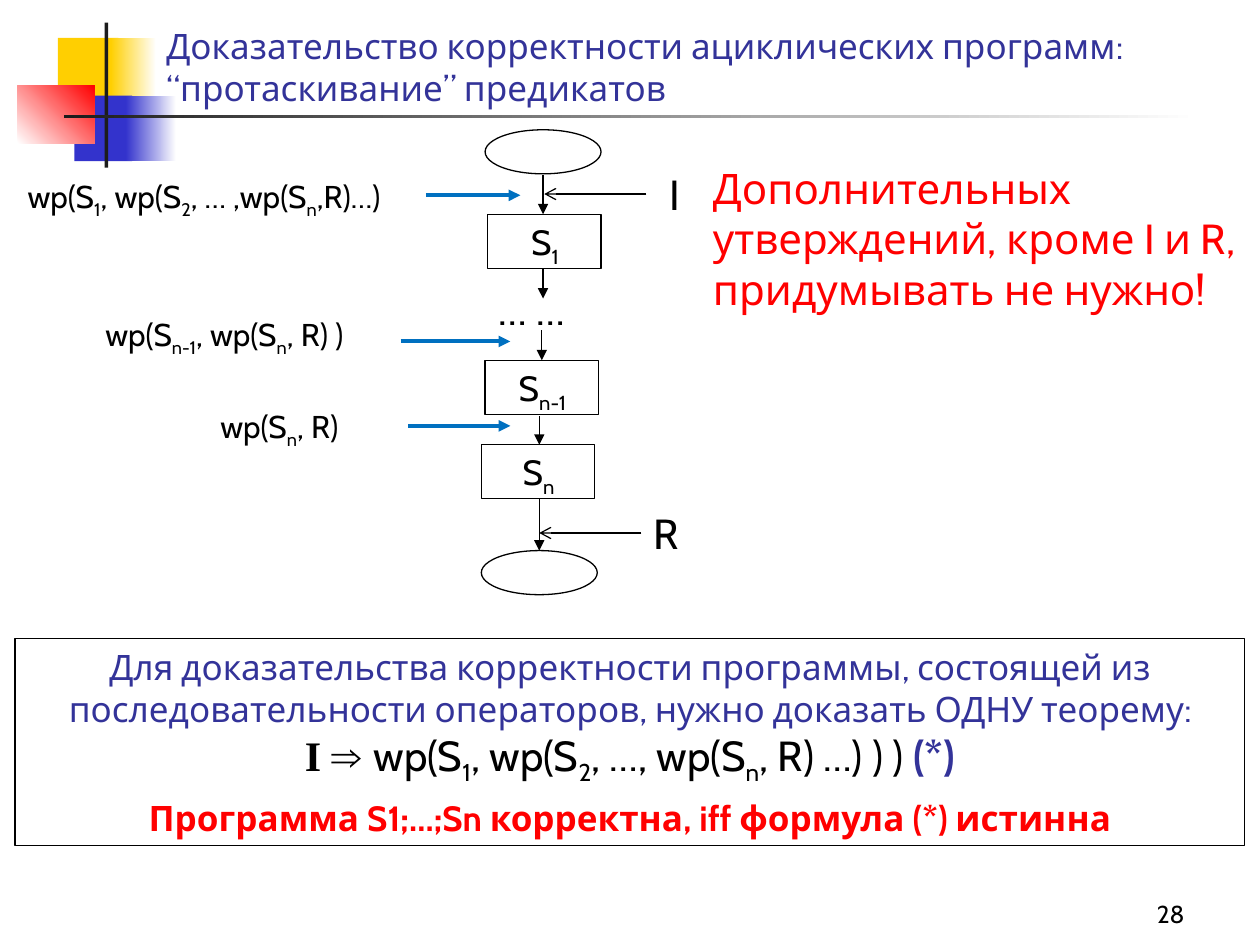
from lxml.etree import SubElement
from pptx import Presentation
from pptx.dml.color import RGBColor
from pptx.enum.shapes import MSO_CONNECTOR, MSO_SHAPE
from pptx.enum.text import MSO_ANCHOR, PP_ALIGN as Align
from pptx.oxml.ns import qn
from pptx.util import Inches, Pt

BLACK = RGBColor(0x00, 0x00, 0x00)
WHITE = RGBColor(0xFF, 0xFF, 0xFF)
INK = RGBColor(0x1C, 0x1C, 0x1C)
NAVY = RGBColor(0x33, 0x33, 0x99)
INDIGO = RGBColor(0x33, 0x33, 0xCC)
YELLOW = RGBColor(0xFF, 0xCF, 0x01)
RED = RGBColor(0xFF, 0x00, 0x00)
BLUE = RGBColor(0x00, 0x70, 0xC0)


class SlideBuilder:
    font = "Cabin"

    def __init__(self, slide):
        self.slide = slide

    def add_runs(self, paragraph, text, **style):
        """Add runs to a paragraph; parts between ~ marks are subscripts."""
        values = {"name": self.font, "size": Pt(18), "bold": False, **style}
        color = values.pop("color", BLACK)
        for index, part in enumerate(text.split("~")):
            if not part:
                continue
            run = paragraph.add_run()
            run.text = part
            for name, value in values.items():
                setattr(run.font, name, value)
            run.font.color.rgb = color
            if index % 2:
                run._r.get_or_add_rPr().set("baseline", "-25000")

    def title(self, text, box, **style):
        title = self.slide.shapes.title
        title.left, title.top, title.width, title.height = map(Inches, box)
        title.text_frame.word_wrap = True
        title.text_frame.vertical_anchor = MSO_ANCHOR.BOTTOM
        paragraph = title.text_frame.paragraphs[0]
        paragraph.alignment = Align.LEFT
        self.add_runs(paragraph, text, **style)

    def text(self, text, box, align=Align.CENTER, **style):
        label = self.slide.shapes.add_textbox(*map(Inches, box))
        label.text_frame.word_wrap = True
        paragraph = label.text_frame.paragraphs[0]
        paragraph.alignment = align
        self.add_runs(paragraph, text, **style)
        return label

    def band(self, box, *colors, angle=0):
        """A borderless rectangle: one colour is solid, two are a gradient."""
        band = self.slide.shapes.add_shape(MSO_SHAPE.RECTANGLE, *map(Inches, box))
        band.shadow.inherit = False
        band.line.fill.background()
        if len(colors) == 1:
            band.fill.solid()
            band.fill.fore_color.rgb = colors[0]
        else:
            band.fill.gradient()
            band.fill.gradient_angle = angle
            for stop, color in zip(band.fill.gradient_stops, colors):
                stop.color.rgb = color

    def outline(self, kind, box):
        node = self.slide.shapes.add_shape(kind, *map(Inches, box))
        node.shadow.inherit = False
        node.fill.background()
        node.line.color.rgb = BLACK
        node.line.width = Pt(0.75)

    def arrow(self, start, end, color=BLACK, width=0.75, head="triangle"):
        arrow = self.slide.shapes.add_connector(
            MSO_CONNECTOR.STRAIGHT, *map(Inches, (*start, *end)))
        arrow.line.color.rgb = color
        arrow.line.width = Pt(width)
        SubElement(arrow.get_or_add_ln(), qn("a:tailEnd"), type=head)
        SubElement(arrow._element.spPr, qn("a:effectLst"))


def main():
    deck = Presentation()
    deck.slide_width, deck.slide_height = Inches(10), Inches(7.5)
    builder = SlideBuilder(deck.slides.add_slide(deck.slide_layouts[5]))

    # Corner decoration
    builder.band((0.46, 0.3, 0.48, 0.52), YELLOW)
    builder.band((0.88, 0.3, 0.36, 0.52), YELLOW, WHITE)
    builder.band((0.59, 0.76, 0.46, 0.52), INDIGO)
    builder.band((1, 0.76, 0.4, 0.52), INDIGO, WHITE)
    builder.band((0.14, 0.68, 0.61, 0.46), WHITE, RED, angle=45)
    builder.band((0.83, 0.18, 0.03, 1.15), INK)
    builder.band((0.51, 0.91, 9, 0.03), INK, WHITE)

    # Title and slide number
    builder.title("Доказательство корректности ациклических программ: "
                  "“протаскивание” предикатов",
                  (1.22, -0.11, 8.51, 1.02), size=Pt(20), color=NAVY)
    number = builder.text("28", (8.31, 6.92, 1.19, 0.5), Align.RIGHT, size=Pt(14))
    number.text_frame.vertical_anchor = MSO_ANCHOR.BOTTOM

    # Flowchart: start and end, then the operators
    for left, top in ((3.85, 1.03), (3.82, 4.37)):
        builder.outline(MSO_SHAPE.OVAL, (left, top, 0.92, 0.35))
    for operator, left, top in (("S~1~", 3.87, 1.7), ("S~n-1~", 3.85, 2.86),
                                ("S~n~", 3.82, 3.53)):
        builder.outline(MSO_SHAPE.RECTANGLE, (left, top, 0.9, 0.43))
        builder.text(operator, (left + 0.08, top, 0.75, 0.48), size=Pt(20))
    builder.text("… … ", (3.68, 2.2, 1.16, 0.5), size=Pt(24))
    for x, top, bottom in ((4.31, 1.39, 1.7), (4.31, 2.13, 2.37),
                           (4.3, 2.62, 2.86), (4.28, 3.3, 3.53),
                           (4.28, 3.96, 4.37)):
        builder.arrow((x, top), (x, bottom))

    # Pre- and postcondition
    for condition, left, x, y in (("I", 4.93, 4.32, 1.54), ("R", 4.86, 4.28, 4.23)):
        builder.text(condition, (left, y - 0.25, 0.86, 0.5), size=Pt(24))
        builder.arrow((x + 0.81, y), (x, y), head="arrow")

    # Weakest preconditions
    for predicate, box, align, start, end, y in (
            ("wp(S~1~, wp(S~2~, … ,wp(S~n~,R)…)", (0.12, 1.36, 3.49, 0.44),
             Align.LEFT, 3.38, 4.13, 1.55),
            ("wp(S~n-1~, wp(S~n~, R) )", (0.47, 2.45, 2.62, 0.44),
             Align.CENTER, 3.18, 4.05, 2.71),
            ("wp(S~n~, R)", (1.65, 3.18, 1.85, 0.44),
             Align.LEFT, 3.24, 4.05, 3.38)):
        builder.text(predicate, box, align)
        builder.arrow((start, y), (end, y), BLUE, 2.25)

    # Remark
    builder.text("Дополнительных утверждений, кроме I и R, придумывать не нужно!",
                 (5.56, 1.24, 4.35, 1.7), Align.LEFT, size=Pt(24), color=RED)

    # Theorem
    theorem = builder.text(
        "Для доказательства корректности программы, состоящей из "
        "последовательности операторов, нужно доказать ОДНУ теорему:",
        (0.12, 5.07, 9.76, 1.64), size=Pt(20), color=NAVY)
    theorem.line.color.rgb = BLACK
    theorem.line.width = Pt(0.75)
    formula = theorem.text_frame.add_paragraph()
    formula.alignment = Align.CENTER
    for part, style in (
            ("I ", {"name": "Times New Roman", "bold": True}),
            ("⇒ ", {"name": "Arial", "bold": True}),
            ("wp(S~1~, wp(S~2~, …, wp(S~n~, R) …) ) ) ", {}),
            ("(*)", {"color": NAVY, "bold": True})):
        builder.add_runs(formula, part, size=Pt(24), **style)
    verdict = theorem.text_frame.add_paragraph()
    verdict.alignment = Align.CENTER
    verdict.space_before = verdict.space_after = Pt(6)
    builder.add_runs(verdict, "Программа S1;…;Sn корректна, iff формула (*) истинна",
                     size=Pt(20), color=RED, bold=True)

    deck.save("out.pptx")


if __name__ == "__main__":
    main()
